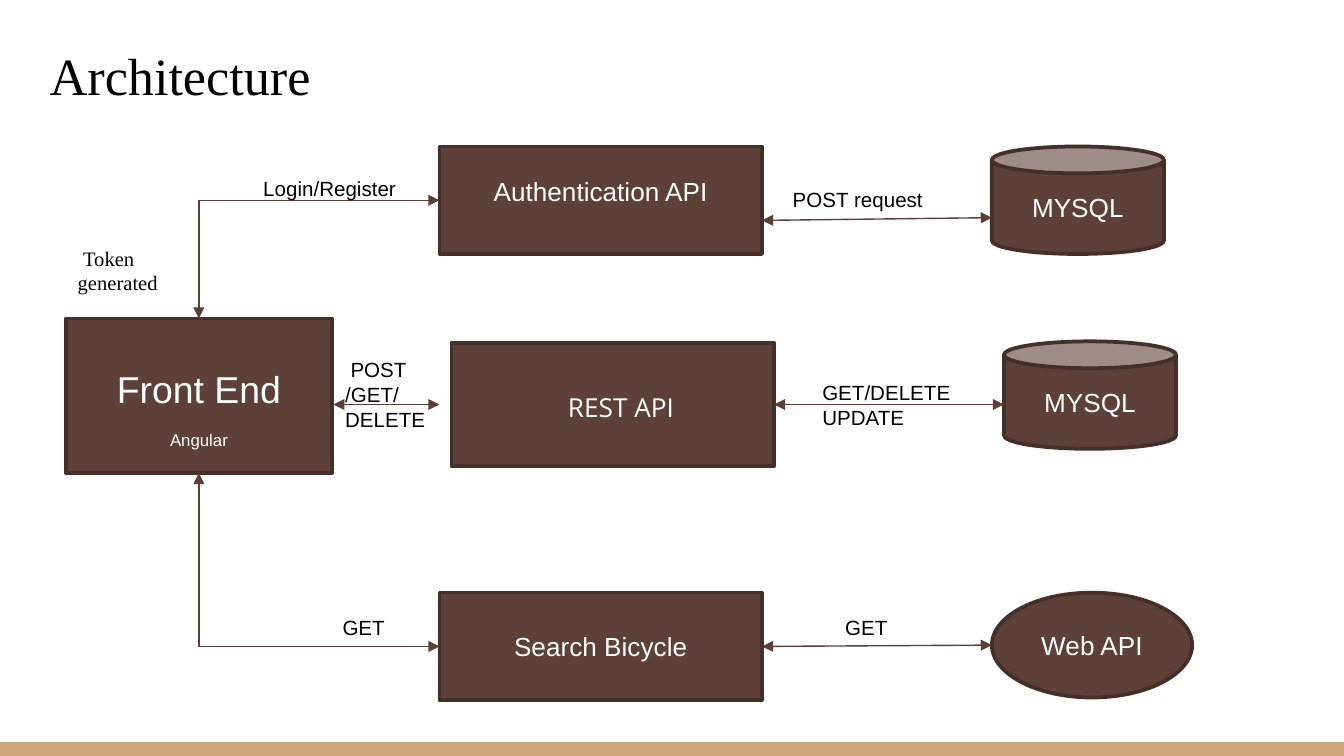
from dataclasses import dataclass

from lxml.etree import SubElement
from pptx import Presentation
from pptx.dml.color import RGBColor
from pptx.enum.shapes import MSO_CONNECTOR as Link, MSO_SHAPE as Form
from pptx.enum.text import MSO_ANCHOR as Anchor, PP_ALIGN as Align
from pptx.oxml.ns import qn
from pptx.shapes.autoshape import Shape
from pptx.shapes.connector import Connector
from pptx.slide import Slide
from pptx.text.text import Font, TextFrame
from pptx.util import Inches, Pt


@dataclass(frozen=True)
class Theme:
    box: RGBColor = RGBColor(0x5D, 0x40, 0x37)
    border: RGBColor = RGBColor(0x45, 0x2F, 0x29)
    arrow: RGBColor = RGBColor(0x5C, 0x3E, 0x35)
    strip: RGBColor = RGBColor(0xCC, 0xA6, 0x77)
    light: RGBColor = RGBColor(0xFF, 0xFF, 0xFF)
    dark: RGBColor = RGBColor(0, 0, 0)
    sans: str = "Arial"
    serif: str = "Times New Roman"
    title_size: float = 28
    lead_size: float = 20
    node_size: float = 14
    label_size: float = 11
    small_size: float = 9


THEME = Theme()
TOP, LEFT, BOTTOM, RIGHT = range(4)


@dataclass(frozen=True)
class Node:
    text: str
    left: float
    top: float
    width: float
    height: float
    form: Form = Form.RECTANGLE
    size: float = THEME.node_size
    font: str = THEME.sans
    margins: tuple[float, float, float, float] = (0.05, 0.1, 0.05, 0.1)
    spacing: float = 1.0


@dataclass(frozen=True)
class Label:
    lines: tuple[str, ...]
    left: float
    top: float
    width: float
    height: float
    first_indent: float = 0.04
    font: str = THEME.sans


@dataclass(frozen=True)
class Arrow:
    start: tuple[float, float]
    end: tuple[float, float]


def style_font(font: Font, name: str, size: float, color: RGBColor) -> None:
    font.name, font.size = name, Pt(size)
    font.color.rgb = color


def set_margins(frame: TextFrame, top: float, left: float, bottom: float, right: float) -> None:
    frame.margin_top, frame.margin_left = Inches(top), Inches(left)
    frame.margin_bottom, frame.margin_right = Inches(bottom), Inches(right)


def add_title(slide: Slide, text: str) -> None:
    title = slide.shapes.title
    title.left, title.top = Inches(0.27), Inches(-0.02)
    title.width, title.height = Inches(9.32), Inches(0.91)
    frame = title.text_frame
    set_margins(frame, 0.1, 0.1, 0.1, 0.1)
    frame.vertical_anchor = Anchor.BOTTOM
    frame.text = text
    heading = frame.paragraphs[0]
    heading.alignment = Align.LEFT
    style_font(heading.font, THEME.serif, THEME.title_size, THEME.dark)


def add_strip(slide: Slide) -> None:
    strip = slide.shapes.add_shape(
        Form.RECTANGLE, Inches(0), Inches(5.52), Inches(10), Inches(0.11))
    strip.shadow.inherit = False
    strip.fill.solid()
    strip.fill.fore_color.rgb = THEME.strip
    strip.line.fill.background()


def add_node(slide: Slide, node: Node) -> Shape:
    shape = slide.shapes.add_shape(
        node.form, Inches(node.left), Inches(node.top),
        Inches(node.width), Inches(node.height))
    shape.shadow.inherit = False
    shape.fill.solid()
    shape.fill.fore_color.rgb = THEME.box
    shape.line.color.rgb = THEME.border
    shape.line.width = Pt(2)
    frame = shape.text_frame
    frame.vertical_anchor = Anchor.MIDDLE
    set_margins(frame, *node.margins)
    frame.text = node.text
    caption = frame.paragraphs[0]
    caption.alignment = Align.CENTER
    caption.line_spacing = node.spacing
    style_font(caption.font, node.font, node.size, THEME.light)
    return shape


def add_subtitle(shape: Shape, text: str) -> None:
    subtitle = shape.text_frame.add_paragraph()
    subtitle.text = text
    subtitle.alignment = Align.CENTER
    subtitle.space_before = Pt(10.4)
    style_font(subtitle.font, THEME.sans, THEME.small_size, THEME.light)


def add_label(slide: Slide, label: Label) -> None:
    frame = slide.shapes.add_textbox(
        Inches(label.left), Inches(label.top),
        Inches(label.width), Inches(label.height)).text_frame
    frame.word_wrap = True
    frame.text = "\n".join(label.lines)
    frame.paragraphs[0]._p.get_or_add_pPr().set("indent", str(Inches(label.first_indent)))
    for line in frame.paragraphs:
        style_font(line.font, label.font, THEME.label_size, THEME.dark)


def add_arrow(slide: Slide, arrow: Arrow, kind: Link = Link.STRAIGHT) -> Connector:
    """Draw a thin connector with a triangle at both ends."""
    connector = slide.shapes.add_connector(
        kind, *(Inches(value) for value in arrow.start + arrow.end))
    connector.line.color.rgb = THEME.arrow
    connector.line.width = Pt(0.75)
    outline = connector.line._get_or_add_ln()
    for end in ("a:headEnd", "a:tailEnd"):
        SubElement(outline, qn(end), type="triangle")
    SubElement(connector._element.spPr, qn("a:effectLst"))
    return connector


def add_corner(slide: Slide, service: Shape, client: Shape, arrow: Arrow, side: int) -> None:
    """Join a service's left side to the client's given side with one bend."""
    corner = add_arrow(slide, arrow, Link.ELBOW)
    corner._element.spPr.find(qn("a:prstGeom")).set("prst", "bentConnector2")
    corner.begin_connect(service, LEFT)
    corner.end_connect(client, side)


FRONT_END = Node("Front End", 0.49, 2.37, 1.98, 1.15, size=THEME.lead_size,
                 margins=(0.23, 0.1, 0.05, 0.1))
AUTHENTICATION = Node("Authentication API", 3.27, 1.09, 2.4, 0.8,
                      margins=(0.05, 0.1, 0.19, 0.1))
REST = Node("REST API", 3.36, 2.55, 2.4, 0.92, font="Open Sans",
            margins=(0.1, 0.22, 0.1, 0.1), spacing=1.15)
SEARCH = Node("Search Bicycle", 3.27, 4.41, 2.4, 0.8)
STORES = (
    Node("MYSQL", 7.38, 1.09, 1.28, 0.8, Form.CAN),
    Node("MYSQL", 7.47, 2.54, 1.28, 0.8, Form.CAN),
    Node("Web API", 7.38, 4.41, 1.49, 0.78, Form.OVAL),
)
LABELS = (
    Label(("POST request",), 5.76, 1.34, 1.28, 0.29),
    Label(("GET/DELETE", "UPDATE"), 6.02, 2.78, 1.16, 0.47, first_indent=0),
    Label(("GET",), 6.15, 4.53, 0.56, 0.29),
    Label(("Login/Register",), 1.82, 1.26, 1.28, 0.29),
    Label(("Token generated",), 0.48, 1.78, 0.95, 0.47, font=THEME.serif),
    Label(("POST\v/GET/", "DELETE"), 2.47, 2.61, 0.9, 0.66),
    Label(("GET",), 2.41, 4.53, 1.28, 0.29),
)


def main() -> None:
    deck = Presentation()
    deck.slide_width = Inches(10)
    deck.slide_height = deck.slide_width * 9 // 16
    slide = deck.slides.add_slide(deck.slide_layouts[5])
    add_strip(slide)
    add_title(slide, "Architecture")

    front_end, authentication, rest, search = (
        add_node(slide, node) for node in (FRONT_END, AUTHENTICATION, REST, SEARCH))
    add_subtitle(front_end, "Angular")
    for store in STORES:
        add_node(slide, store)

    add_arrow(slide, Arrow((5.67, 1.64), (7.38, 1.62)))
    add_arrow(slide, Arrow((2.48, 3.01), (3.27, 3.01)))
    add_arrow(slide, Arrow((5.76, 3.01), (7.47, 3.01))).begin_connect(rest, RIGHT)
    add_arrow(slide, Arrow((5.67, 4.81), (7.38, 4.8))).begin_connect(search, RIGHT)
    add_corner(slide, authentication, front_end, Arrow((3.27, 1.49), (1.48, 2.37)), TOP)
    add_corner(slide, search, front_end, Arrow((3.27, 4.81), (1.48, 3.52)), BOTTOM)

    for label in LABELS:
        add_label(slide, label)
    deck.save("out.pptx")


if __name__ == "__main__":
    main()
